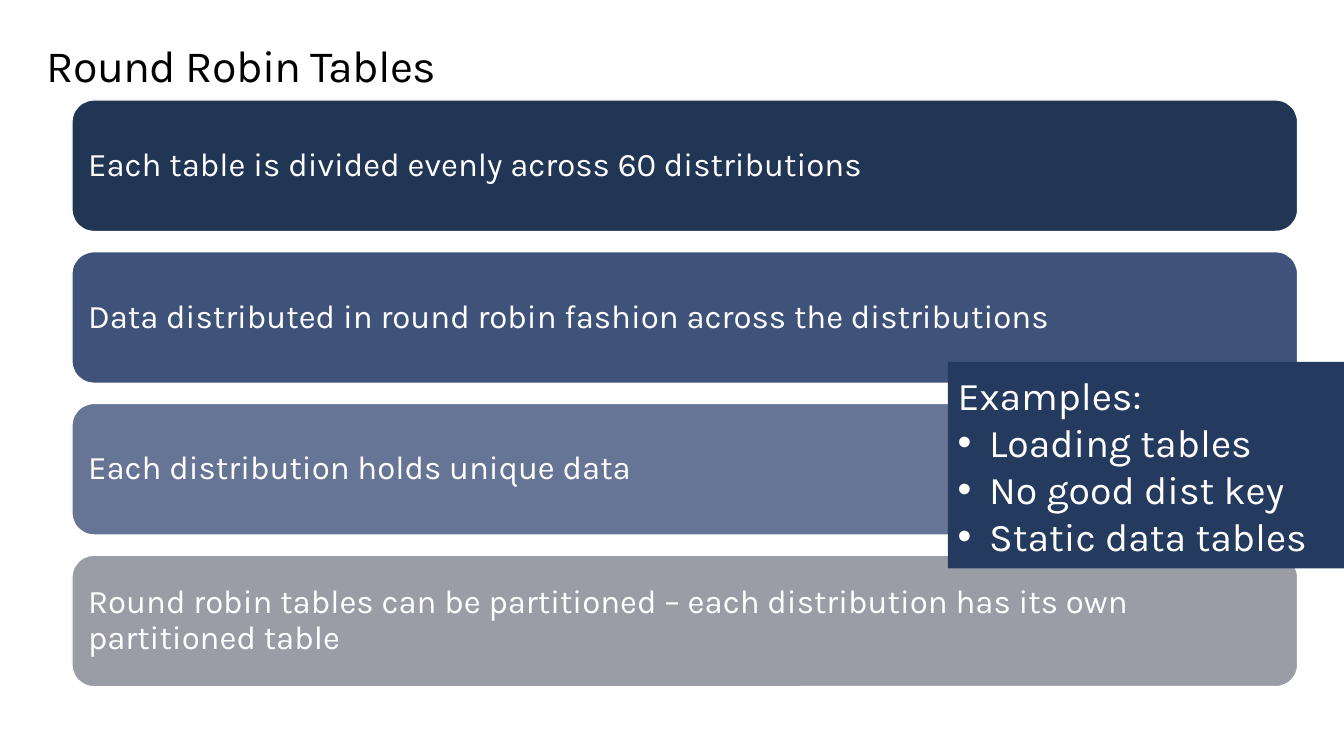
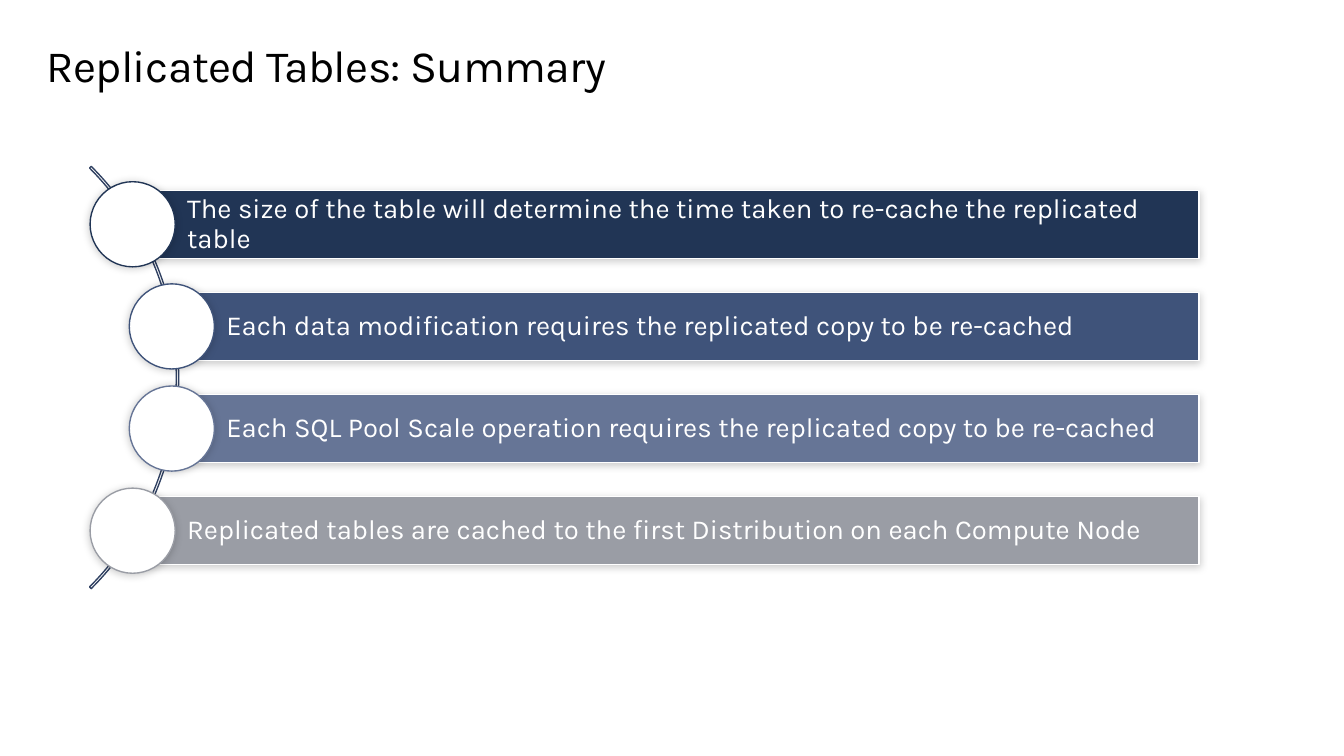
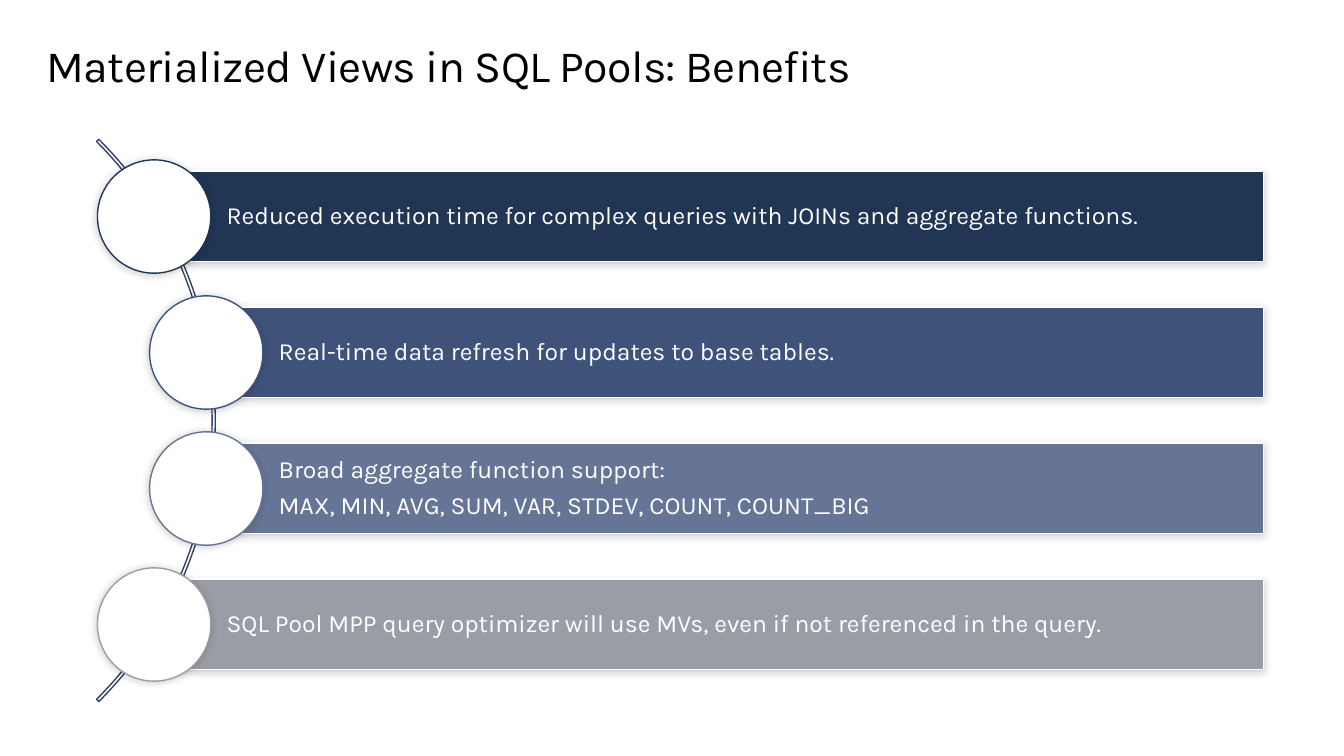
from lxml import etree
from pptx import Presentation
from pptx.dml.color import RGBColor
from pptx.enum import shapes, text
from pptx.oxml import ns
from pptx.util import Cm, Pt

WHITE, BLACK = "FFFFFF", "000000"
CALLOUT_NAVY, ARC_NAVY = "243A5E", "304162"
ROW_COLOURS = ["213555", "3F537A", "667596", "9A9DA5"]
SLIDE_WIDTH, SLIDE_HEIGHT = 34.54, 19.43


def rgb(value):
    return RGBColor.from_string(value)


def add_xml(parent, tag, **attributes):
    return etree.SubElement(parent, ns.qn(tag), attributes)


def write(frame, lines, *, size, colour=WHITE, insets=(0.25, 0.13, 0.25, 0.13),
          anchor=text.MSO_ANCHOR.MIDDLE, spacing=None, after=None,
          tracking=None, bulleted_from=None):
    """Fill a text frame with one paragraph per line; insets are left, top, right, bottom."""
    frame.word_wrap = True
    frame.vertical_anchor = anchor
    (frame.margin_left, frame.margin_top,
     frame.margin_right, frame.margin_bottom) = map(Cm, insets)
    for index, line in enumerate(lines):
        paragraph = frame.paragraphs[0] if index == 0 else frame.add_paragraph()
        paragraph.alignment = text.PP_ALIGN.LEFT
        if bulleted_from is not None and index >= bulleted_from:
            properties = paragraph._p.get_or_add_pPr()
            properties.set("marL", str(Cm(0.81)))
            properties.set("indent", str(-Cm(0.81)))
            add_xml(properties, "a:buFont", typeface="Arial")
            add_xml(properties, "a:buChar", char="•")
        if spacing is not None:
            paragraph.line_spacing = spacing
        if after is not None:
            paragraph.space_after = after
        run = paragraph.add_run()
        run.text = line
        run.font.name = "Karla"
        run.font.size = Pt(size)
        run.font.color.rgb = rgb(colour)
        if tracking is not None:
            run._r.get_or_add_rPr().set("spc", str(tracking))


class Deck:
    def __init__(self):
        self.presentation = Presentation()
        self.presentation.slide_width = Cm(SLIDE_WIDTH)
        self.presentation.slide_height = Cm(SLIDE_HEIGHT)
        self.slide = None

    def new_slide(self, title):
        self.slide = self.presentation.slides.add_slide(self.presentation.slide_layouts[6])
        heading = self.slide.shapes.add_textbox(Cm(1.2), Cm(1.05), Cm(31.5), Cm(1.32))
        write(heading.text_frame, [title], size=32.6, colour=BLACK, insets=(0, 0, 0, 0),
              anchor=text.MSO_ANCHOR.TOP, spacing=Pt(36.9), tracking=-50)

    def shape(self, kind, left, top, width, height, fill=None, line=None, shadow=False):
        shape = self.slide.shapes.add_shape(kind, Cm(left), Cm(top), Cm(width), Cm(height))
        if fill:
            shape.fill.solid()
            shape.fill.fore_color.rgb = rgb(fill)
        else:
            shape.fill.background()
        if line:
            shape.line.color.rgb = rgb(line)
            shape.line.width = Pt(1)
        else:
            shape.line.fill.background()
        shape.shadow.inherit = False
        if shadow:
            effects = shape._element.spPr.find(ns.qn("a:effectLst"))
            outer = add_xml(effects, "a:outerShdw", blurRad=str(Pt(6)), dist=str(Pt(1)),
                            dir="8100000", algn="tr", rotWithShape="0")
            black = add_xml(outer, "a:srgbClr", val=BLACK)
            add_xml(black, "a:alpha", val="20000")
        return shape

    def stacked_cards(self, statements):
        for row, (statement, colour) in enumerate(zip(statements, ROW_COLOURS)):
            card = self.shape(shapes.MSO_SHAPE.ROUNDED_RECTANGLE, 1.85, 2.57 + 3.9 * row,
                              31.5, 3.38, fill=colour, line=WHITE)
            write(card.text_frame, [statement], size=24, insets=[0.25] * 4,
                  spacing=0.9, after=Pt(10))

    def callout(self, left, top, height, lines):
        box = self.shape(shapes.MSO_SHAPE.RECTANGLE, left, top, SLIDE_WIDTH - left, height,
                         fill=CALLOUT_NAVY)
        write(box.text_frame, lines, size=28.6, bulleted_from=1)

    def curved_list(self, points, *, left, top, right, bar_height, size):
        """Bars with circles along an arc; every proportion follows from the bar height."""
        indent = 0.575 * bar_height
        pitch = 1.5 * bar_height
        circle = 1.25 * bar_height
        diameter = 8.77 * bar_height
        middle = top + (pitch * (len(points) - 1) + bar_height) / 2
        arc_right = left + indent + 0.1 * bar_height
        arc = self.shape(shapes.MSO_SHAPE.BLOCK_ARC, arc_right - diameter,
                         middle - diameter / 2, diameter, diameter, line=ARC_NAVY)
        for index, value in enumerate((189, 27, 0.004)):
            arc.adjustments[index] = value

        for row, (lines, colour) in enumerate(zip(points, ROW_COLOURS)):
            is_inner = 0 < row < len(points) - 1
            bar_left = left + indent * is_inner
            bar_top = top + pitch * row
            bar = self.shape(shapes.MSO_SHAPE.RECTANGLE, bar_left, bar_top,
                             right - bar_left, bar_height, fill=colour, line=WHITE, shadow=True)
            write(bar.text_frame, lines, size=size, spacing=0.9, after=Pt(0.4 * size),
                  insets=(0.8 * bar_height, 0.14, 0.14, 0.14))
            self.shape(shapes.MSO_SHAPE.OVAL, bar_left - circle / 2,
                       bar_top + (bar_height - circle) / 2, circle, circle,
                       fill=WHITE, line=colour, shadow=True)


def main():
    deck = Deck()

    deck.new_slide("Round Robin Tables")
    deck.stacked_cards([
        "Each table is divided evenly across 60 distributions",
        "Data distributed in round robin fashion across the distributions",
        "Each distribution holds unique data",
        "Round robin tables can be partitioned – each distribution has its own partitioned table",
    ])
    deck.callout(24.36, 9.3, 5.31, [
        "Examples:", "Loading tables", "No good dist key", "Static data tables"])

    deck.new_slide("Replicated Tables: Summary")
    deck.curved_list([
        ["The size of the table will determine the time taken to re-cache the replicated table"],
        ["Each data modification requires the replicated copy to be re-cached"],
        ["Each SQL Pool Scale operation requires the replicated copy to be re-cached"],
        ["Replicated tables are cached to the first Distribution on each Compute Node"],
    ], left=3.41, top=4.89, right=30.82, bar_height=1.75, size=20)

    deck.new_slide("Materialized Views in SQL Pools: Benefits")
    deck.curved_list([
        ["Reduced execution time for complex queries with JOINs and aggregate functions."],
        ["Real-time data refresh for updates to base tables."],
        ["Broad aggregate function support:",
         "MAX, MIN, AVG, SUM, VAR, STDEV, COUNT, COUNT_BIG"],
        ["SQL Pool MPP query optimizer will use MVs, even if not referenced in the query."],
    ], left=3.96, top=4.4, right=32.47, bar_height=2.33, size=18)

    deck.presentation.save("out.pptx")


if __name__ == "__main__":
    main()
